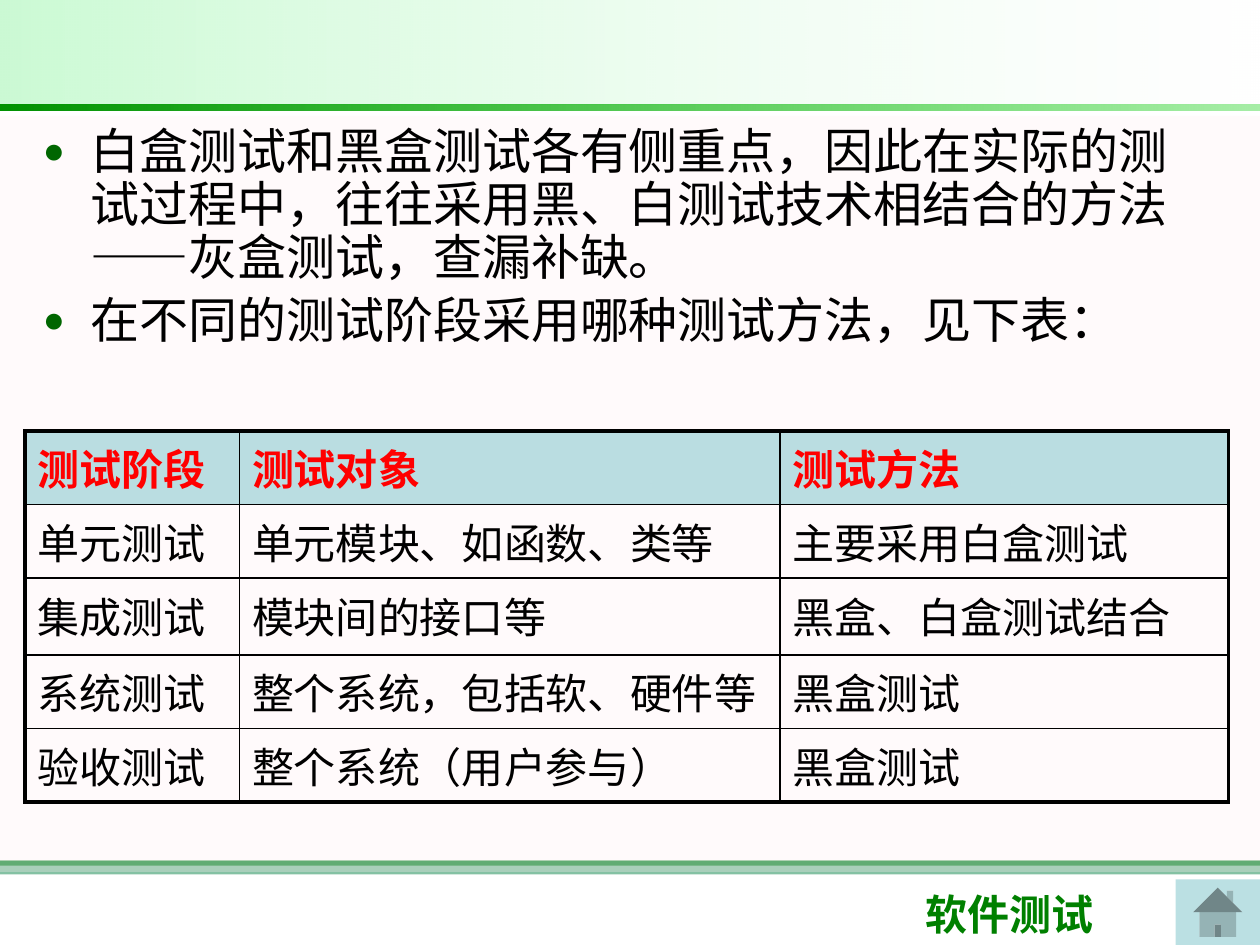
from lxml.etree import SubElement
from pptx import Presentation
from pptx.dml.color import RGBColor
from pptx.enum.shapes import MSO_SHAPE as Shape
from pptx.enum.text import MSO_AUTO_SIZE as AutoSize
from pptx.oxml.ns import qn
from pptx.util import Inches, Pt

CJK_FONT = "Noto Sans CJK SC"


def paint(color, value, opacity=100):
    """Give a colour format a hex colour and an opacity in percent."""
    color.rgb = RGBColor.from_string(value)
    if opacity < 100:
        node = color._xFill.find(".//" + qn("a:srgbClr")) if hasattr(color, "_xFill") \
            else color._color._xClr
        SubElement(node, qn("a:alpha"), val=str(opacity * 1000))


def add_run(para, text, size, color, font=CJK_FONT, bold=False):
    """Add one formatted run with its East Asian font."""
    run = para.add_run()
    run.text = text
    run.font.size, run.font.bold, run.font.name = Pt(size), bold, font
    paint(run.font.color, color)
    SubElement(run.font._element, qn("a:ea"), typeface=CJK_FONT)


deck = Presentation()
deck.slide_width, deck.slide_height = Inches(10), Inches(7.5)
page = deck.slides.add_slide(deck.slide_layouts[1])
title = page.shapes.title
title.element.getparent().remove(title.element)
body = page.placeholders[1]

# Bands: top, height, rotation, colour stops with opacity
bands = [
    (6.83, 0.04, 0, [("008000", 100)]),
    (6.83, 0.11, 0, [("339966", 60)]),
    (0.92, 6, 0, [("FFF0F5", 30)]),
    (0, 0.83, 180, [("FFFFFF", 10), ("09E733", 21)]),
    (0.83, 0.05, 180, [("00CC00", 35), ("009200", 100)]),
]
for top, height, rotation, stops in bands:
    band = page.shapes.add_shape(
        Shape.RECTANGLE, 0, Inches(top), deck.slide_width, Inches(height))
    band.shadow.inherit = False
    band.line.fill.background()
    band.rotation = rotation
    if len(stops) == 1:
        band.fill.solid()
        paint(band.fill.fore_color, *stops[0])
    else:
        band.fill.gradient()
        band.fill.gradient_angle = 0
        for stop, shade in zip(band.fill.gradient_stops, stops):
            paint(stop.color, *shade)

course = page.shapes.add_textbox(Inches(7.25), Inches(7), Inches(2.37), Inches(0.5))
course.text_frame.word_wrap = True
add_run(course.text_frame.paragraphs[0], "软件测试", 24, "008000", "Arial", True)

# Bulleted list, in front of the bands
body.element.getparent().append(body.element)
body.left, body.top = Inches(0.24), Inches(0.96)
body.width, body.height = Inches(9.49), Inches(2.12)
frame = body.text_frame
frame.auto_size = AutoSize.NONE
points = [
    "白盒测试和黑盒测试各有侧重点，因此在实际的测试过程中，往往采用黑、白测试技术相结合的方法——灰盒测试，查漏补缺。",
    "在不同的测试阶段采用哪种测试方法，见下表：",
]
for index, point in enumerate(points):
    para = frame.add_paragraph() if index else frame.paragraphs[0]
    para.line_spacing, para.space_before = 0.9, Pt(5.6)
    props = para._p.get_or_add_pPr()
    props.set("marL", str(Inches(0.38)))
    props.set("indent", str(Inches(-0.38)))
    SubElement(SubElement(props, qn("a:buClr")), qn("a:srgbClr"), val="006600")
    SubElement(props, qn("a:buSzPct"), val="75000")
    SubElement(props, qn("a:buFont"), typeface="Arial")
    SubElement(props, qn("a:buChar"), char="●")
    add_run(para, point, 28, "000000")

home = page.shapes.add_shape(
    Shape.ACTION_BUTTON_HOME, Inches(9.33), Inches(6.98), Inches(0.67), Inches(0.52))
home.shadow.inherit = False
home.line.fill.background()
home.fill.solid()
paint(home.fill.fore_color, "BBE0E3")

rows = [
    ("测试阶段", "测试对象", "测试方法"),
    ("单元测试", "单元模块、如函数、类等", "主要采用白盒测试"),
    ("集成测试", "模块间的接口等", "黑盒、白盒测试结合"),
    ("系统测试", "整个系统，包括软、硬件等", "黑盒测试"),
    ("验收测试", "整个系统（用户参与）", "黑盒测试"),
]
widths = [1.7, 4.29, 3.56]
heights = [0.58, 0.58, 0.61, 0.58, 0.58]
table = page.shapes.add_table(
    len(rows), len(widths), Inches(0.2), Inches(3.42),
    Inches(sum(widths)), Inches(sum(heights))).table
table.first_row = table.horz_banding = False
for column, width in zip(table.columns, widths):
    column.width = Inches(width)

for r, texts in enumerate(rows):
    table.rows[r].height = Inches(heights[r])
    for c, text in enumerate(texts):
        cell = table.cell(r, c)
        outer_edges = {
            "a:lnL": c == 0, "a:lnR": c == len(widths) - 1,
            "a:lnT": r == 0, "a:lnB": r == len(rows) - 1,
        }
        for edge, outer in outer_edges.items():
            line = SubElement(cell._tc.get_or_add_tcPr(), qn(edge),
                              w=str(Pt(2.25 if outer else 1)))
            SubElement(SubElement(line, qn("a:solidFill")), qn("a:srgbClr"), val="000000")
        para = cell.text_frame.paragraphs[0]
        para.space_before = Pt(4.8)
        props = para._p.get_or_add_pPr()
        props.set("marL", str(Inches(0.07)))
        props.set("indent", str(Inches(-0.07)))
        if r == 0:
            cell.fill.solid()
            paint(cell.fill.fore_color, "BADDE1")
            add_run(para, text, 24, "FF0000", "Calibri", True)
        else:
            cell.fill.background()
            add_run(para, text, 24, "000000")

deck.save("out.pptx")
